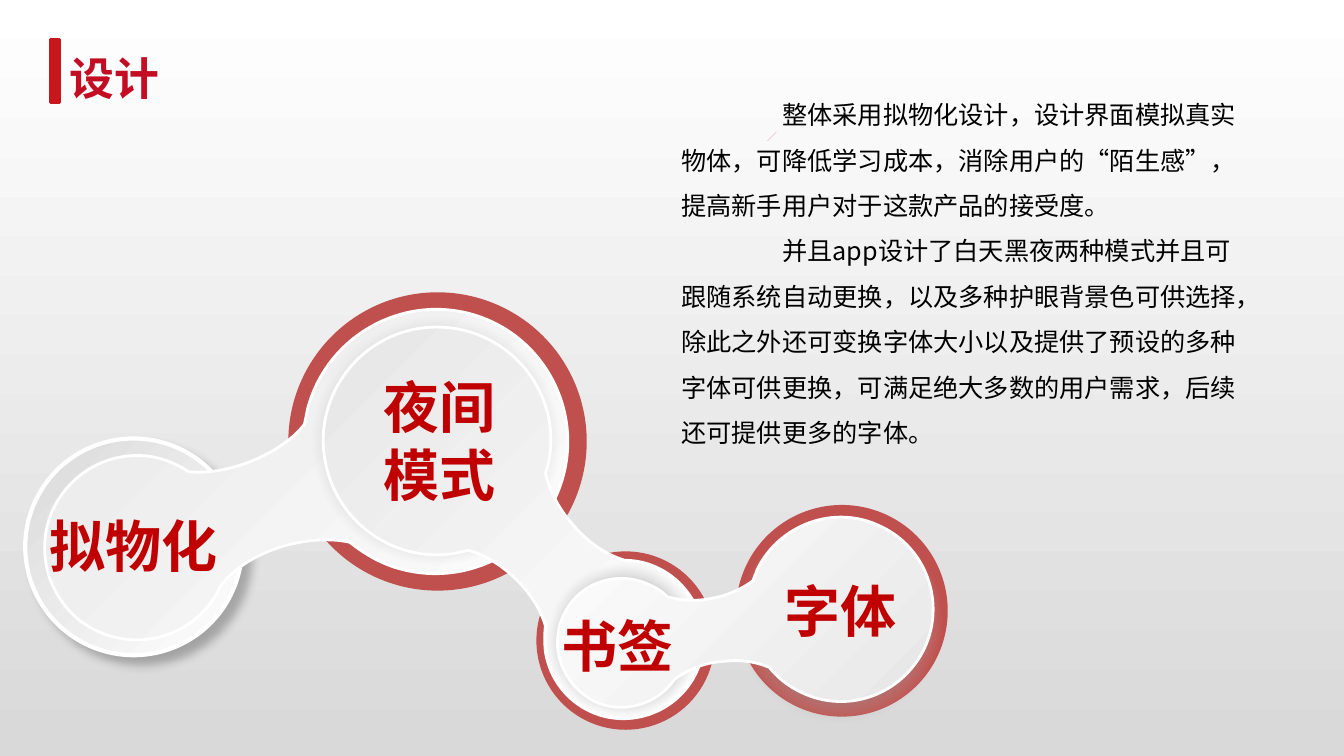
from lxml.etree import SubElement
from pptx import Presentation
from pptx.dml.color import RGBColor
from pptx.enum.shapes import MSO_SHAPE
from pptx.enum.text import MSO_AUTO_SIZE, PP_ALIGN
from pptx.oxml.ns import qn
from pptx.util import Inches, Pt

RED = RGBColor(0xC8, 0x16, 0x1D)
TITLE = RGBColor(0xC3, 0x0D, 0x23)
RING = RGBColor(0xC0, 0x50, 0x4D)
LABEL = RGBColor(0xC0, 0x00, 0x00)
PINK = RGBColor(0xD4, 0x0F, 0x5A)
GREY = RGBColor(0xD9, 0xD9, 0xD9)
SILVER = RGBColor(0xE6, 0xE6, 0xE6)
MID = RGBColor(0xBF, 0xBF, 0xBF)
DARK = RGBColor(0x71, 0x71, 0x71)
WHITE = RGBColor(0xFF, 0xFF, 0xFF)
BLACK = RGBColor(0x00, 0x00, 0x00)
SANS = "Noto Sans CJK SC"

BACK = [(0, WHITE, 100), (99, GREY, 100)]
DISC = [(0, GREY, 100), (100, WHITE, 100)]
SHEEN = [(0, SILVER, 100), (100, WHITE, 100)]
SHADE = [(33, DARK, 100), (67, MID, 0), (100, WHITE, 0)]
CORNER = (0, 0, 100, 100)
CENTRE = (50, 50, 50, 50)

RINGS = [(5.32, 5.47, 1.77), (2.86, 2.9, 2.96), (7.3, 5.01, 2.1)]
NIGHT_SHADE = (3.03, 3.06, 2.59, 2.62)
LOW_SHADES = [(5.37, 5.56, 1.64, 1.59), (7.25, 5.09, 2.17, 2.14)]

LEFT_LINK = [
    (4.65, 3.11), (5.35, 3.29), (5.77, 4.01), (5.59, 4.71),
    (5.41, 5.41), (4.69, 5.83), (3.99, 5.65), (3.79, 5.6), (3.62, 5.5), (3.47, 5.38),
    (3.29, 5.34), (3.07, 5.35), (2.84, 5.41), (2.55, 5.49), (2.32, 5.64), (2.19, 5.81),
    (2.01, 6.21), (1.57, 6.43), (1.13, 6.32), (0.64, 6.2), (0.35, 5.7), (0.47, 5.21),
    (0.6, 4.72), (1.1, 4.42), (1.59, 4.55), (1.69, 4.58), (1.78, 4.62), (1.87, 4.68),
    (2.06, 4.7), (2.3, 4.66), (2.53, 4.56), (2.74, 4.47), (2.91, 4.35), (3.02, 4.21),
    (3.03, 4.16), (3.04, 4.11), (3.05, 4.06), (3.23, 3.36), (3.95, 2.93), (4.65, 3.11),
]
MID_LINK = [
    (3.22, 4.55), (3.12, 3.94), (3.54, 3.36), (4.15, 3.26),
    (4.77, 3.16), (5.35, 3.58), (5.45, 4.19), (5.48, 4.37), (5.46, 4.54), (5.41, 4.7),
    (5.45, 4.86), (5.53, 5.03), (5.66, 5.18), (5.82, 5.38), (6.02, 5.51), (6.2, 5.56),
    (6.57, 5.56), (6.9, 5.84), (6.97, 6.22), (7.04, 6.65), (6.74, 7.05), (6.31, 7.12),
    (5.88, 7.19), (5.48, 6.9), (5.41, 6.47), (5.4, 6.38), (5.4, 6.29), (5.41, 6.21),
    (5.36, 6.04), (5.25, 5.87), (5.09, 5.72), (4.95, 5.59), (4.79, 5.5), (4.65, 5.46),
    (4.6, 5.47), (4.56, 5.48), (4.51, 5.49), (3.9, 5.59), (3.32, 5.17), (3.22, 4.55),
]
RIGHT_LINK = [
    (8.73, 5.22), (9.19, 5.43), (9.38, 5.98), (9.17, 6.43),
    (8.95, 6.89), (8.41, 7.09), (7.95, 6.87), (7.82, 6.81), (7.71, 6.72), (7.63, 6.62),
    (7.51, 6.57), (7.36, 6.54), (7.19, 6.56), (6.98, 6.57), (6.81, 6.65), (6.69, 6.74),
    (6.52, 6.99), (6.18, 7.09), (5.9, 6.96), (5.58, 6.8), (5.44, 6.42), (5.59, 6.1),
    (5.74, 5.78), (6.12, 5.65), (6.44, 5.8), (6.51, 5.83), (6.57, 5.87), (6.62, 5.92),
    (6.75, 5.96), (6.92, 5.97), (7.09, 5.93), (7.24, 5.9), (7.38, 5.83), (7.47, 5.76),
    (7.48, 5.72), (7.5, 5.69), (7.51, 5.65), (7.73, 5.2), (8.28, 5), (8.73, 5.22),
]
SLIVER = [(7.61, 1.4), (7.7, 1.31), (7.61, 1.4)]

BODY = [
    "\t整体采用拟物化设计，设计界面模拟真实物体，可降低学习成本，消除用户的“陌生感”，提高新手用户对于这款产品的接受度。",
    "\t并且app设计了白天黑夜两种模式并且可跟随系统自动更换，以及多种护眼背景色可供选择，除此之外还可变换字体大小以及提供了预设的多种字体可供更换，可满足绝大多数的用户需求，后续还可提供更多的字体。",
]
LABELS = [
    ("拟物化", (0.33, 5.03, 1.98, 0.77)),
    (" 书签 ", (5.3, 6.02, 1.65, 0.77)),
    (" 字体", (7.45, 5.67, 1.65, 0.77)),
    ("夜间模式", (3.53, 3.65, 1.65, 1.45)),
]


def tint(parent, color, alpha):
    node = SubElement(parent, qn("a:srgbClr"), val=str(color))
    if alpha < 100:
        SubElement(node, qn("a:alpha"), val=str(alpha * 1000))


def blend(fill, root, stops, angle=None, focus=None):
    fill.background()
    old = next(root.iter(qn("a:noFill")))
    grad = SubElement(old.getparent(), qn("a:gradFill"), rotWithShape="1")
    old.getparent().replace(old, grad)
    group = SubElement(grad, qn("a:gsLst"))
    for pos, color, alpha in stops:
        tint(SubElement(group, qn("a:gs"), pos=str(pos * 1000)), color, alpha)
    if focus:
        way = SubElement(grad, qn("a:path"), path="circle")
        sides = {side: str(n * 1000) for side, n in zip("ltrb", focus)}
        SubElement(way, qn("a:fillToRect"), **sides)
    else:
        SubElement(grad, qn("a:lin"), ang=str(angle * 60000), scaled="0")


def finish(shape, color=None, line=None, width=0):
    shape.shadow.inherit = False
    if color is not None:
        shape.fill.solid()
        shape.fill.fore_color.rgb = color
    if line is None:
        shape.line.fill.background()
    else:
        shape.line.color.rgb = line
        shape.line.width = Pt(width)
    return shape


def preset(kind, box, *style):
    return finish(slide.shapes.add_shape(kind, *map(Inches, box)), *style)


def outline(points, *style):
    first, *rest = [(Inches(x), Inches(y)) for x, y in points]
    maker = slide.shapes.build_freeform(*first, scale=1.0)
    maker.add_line_segments(rest, close=True)
    return finish(maker.convert_to_shape(), *style)


def link(points, **look):
    shape = outline(points, None, WHITE, 2)
    steps = list(shape._element.iter(qn("a:lnTo")))
    for i in range(0, len(steps), 3):
        curve = SubElement(steps[i].getparent(), qn("a:cubicBezTo"))
        steps[i].addprevious(curve)
        for step in steps[i:i + 3]:
            curve.append(step[0])
            step.getparent().remove(step)
    blend(shape.fill, shape._element.spPr, SHEEN, **look)


def shade(box):
    shape = preset(MSO_SHAPE.OVAL, box)
    blend(shape.fill, shape._element.spPr, SHADE, focus=CENTRE)


def write(lines, box, size, color, bold=False, name=SANS, wrap=True,
          align=None, space=None, tab=None):
    frame = slide.shapes.add_textbox(*map(Inches, box)).text_frame
    frame.word_wrap = wrap
    frame.auto_size = MSO_AUTO_SIZE.SHAPE_TO_FIT_TEXT
    for i, line in enumerate(lines):
        para = frame.add_paragraph() if i else frame.paragraphs[0]
        para.add_run().text = line
        para.alignment = align
        para.line_spacing = space
        if tab:
            stops = SubElement(para._p.get_or_add_pPr(), qn("a:tabLst"))
            SubElement(stops, qn("a:tab"), pos=str(Inches(tab)), algn="l")
        font = para.font
        font.size, font.bold, font.name = Pt(size), bold, name
        font.color.rgb = color
        SubElement(para._p.pPr.find(qn("a:defRPr")), qn("a:ea"), typeface=SANS)


deck = Presentation()
deck.slide_width, deck.slide_height = Inches(13.33), Inches(7.5)
slide = deck.slides.add_slide(deck.slide_layouts[6])
blend(slide.background.fill, slide._element, BACK, angle=90)

preset(MSO_SHAPE.RECTANGLE, (0.5, 0.39, 0.09, 0.63), RED, RED, 2)
write(["设计"], (0.59, 0.45, 1.1, 0.64), 32, TITLE, True, "Arial", False)
outline(SLIVER, PINK)

disc = preset(MSO_SHAPE.OVAL, (0.25, 4.35, 2.15, 2.15), None, WHITE, 3)
blend(disc.fill, disc._element.spPr, DISC, angle=45)
effect = disc._element.spPr.find(qn("a:effectLst"))
cast = SubElement(effect, qn("a:outerShdw"), blurRad=str(Pt(7)), dist=str(Pt(8)),
                  dir=str(45 * 60000), algn="tl", rotWithShape="0")
tint(cast, BLACK, 25)

for x, y, size in RINGS:
    preset(MSO_SHAPE.OVAL, (x, y, size, size), RING)
link(LEFT_LINK, focus=CORNER)
shade(NIGHT_SHADE)
link(MID_LINK, focus=CORNER)
for box in LOW_SHADES:
    shade(box)
link(RIGHT_LINK, angle=225)

write(BODY, (6.66, 0.79, 5.83, 3.73), 18, BLACK, space=1.5, tab=1)
for label, box in LABELS:
    write([label], box, 40, LABEL, True, align=PP_ALIGN.CENTER)

deck.save("out.pptx")
